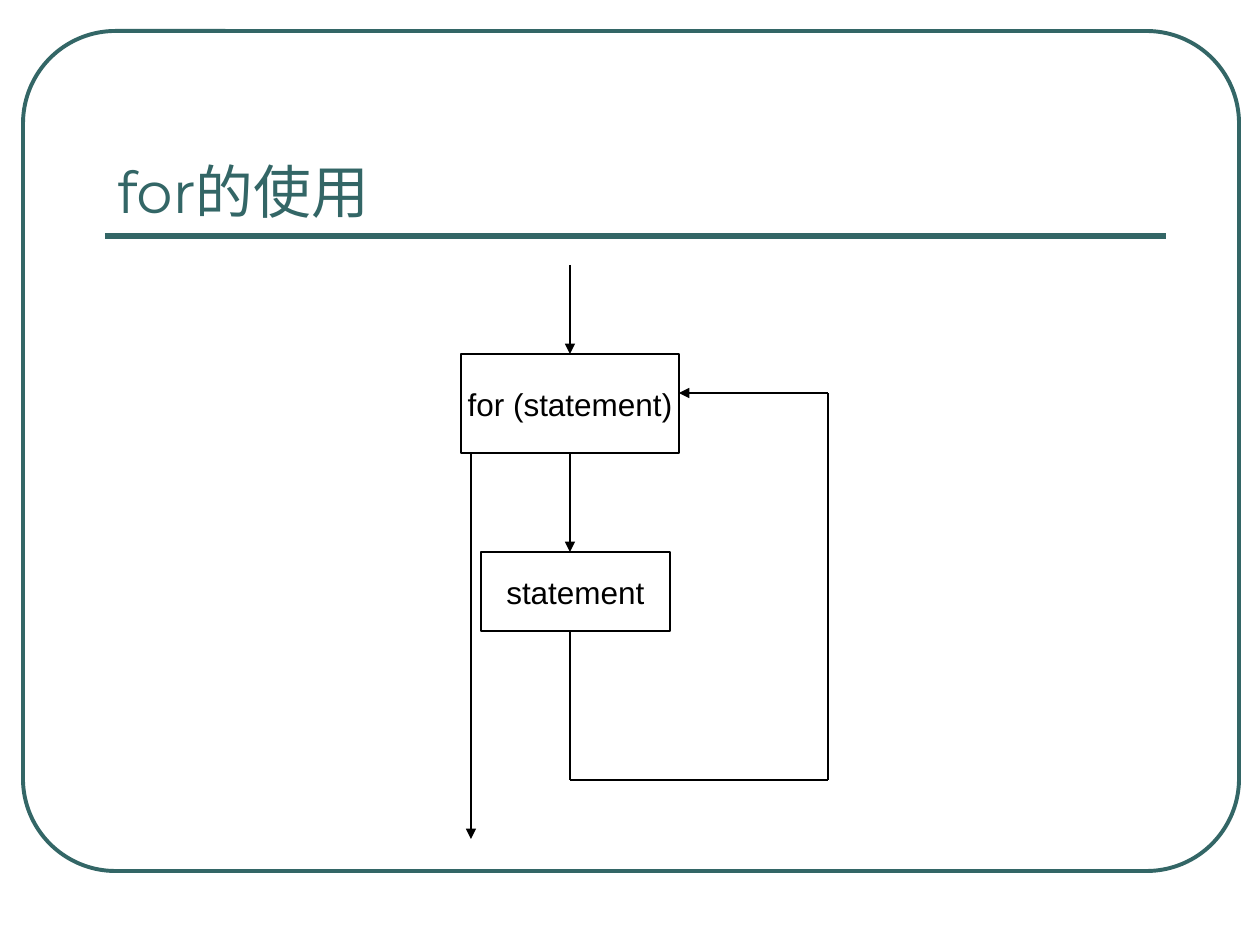
import pptx
import pptx.util
import pptx.dml.color
import pptx.enum.shapes
import pptx.enum.text
import pptx.oxml
import pptx.oxml.ns

PX = 914400 / 126
HUES = {"teal": "336666", "ink": "000000"}
KIND = pptx.enum.shapes.MSO_SHAPE
ALIGN = pptx.enum.text.PP_ALIGN
ANCHOR = pptx.enum.text.MSO_ANCHOR

# Content: left, top, width, height in px
FRAME = (23, 31, 1216, 840)
TITLE = ("for的使用", (105, 73, 1061, 158))
BOXES = {
    "loop": ("for (statement)", (461, 354, 218, 99)),
    "body": ("statement", (481, 552, 189, 79)),
}

# Flow: from, to, arrowhead, then (box, side) joined at each end
MID, RIGHT, EXIT = 570, 828, 471
TURN, BACK = 780, 393
FLOW = [
    ((MID, 265), (MID, 354), True, None, ("loop", 0)),
    ((MID, 453), (MID, 552), True, ("loop", 2), None),
    ((MID, 631), (MID, TURN), False, None, None),
    ((MID, TURN), (RIGHT, TURN), False, None, None),
    ((RIGHT, TURN), (RIGHT, BACK), False, None, None),
    ((RIGHT, BACK), (679, BACK), True, None, None),
    ((EXIT, 453), (EXIT, 839), True, None, None),
]


def emu(spot):
    return [round(n * PX) for n in spot]


def rgb(hue):
    return pptx.dml.color.RGBColor.from_string(HUES[hue])


def ink(shape, hue, width):
    shape.line.color.rgb = rgb(hue)
    shape.line.width = pptx.util.Pt(width)


def block(kind, spot, hue, width):
    shape = slide.shapes.add_shape(kind, *emu(spot))
    shape.shadow.inherit = False
    shape.fill.background()
    ink(shape, hue, width)
    return shape


def write(shape, text, hue, frame, align, font):
    tf = shape.text_frame
    for key, val in frame.items():
        setattr(tf, key, val)
    par = tf.paragraphs[0]
    par.alignment = align
    run = par.add_run()
    run.text = text
    for key, val in font.items():
        setattr(run.font, key, val)
    run.font.color.rgb = rgb(hue)


def wire(start, end, hue, width, head=False):
    line = slide.shapes.add_connector(
        pptx.enum.shapes.MSO_CONNECTOR.STRAIGHT, *emu(start + end))
    ink(line, hue, width)
    if head:
        tip = pptx.oxml.parse_xml(
            '<a:tailEnd %s type="triangle"/>' % pptx.oxml.ns.nsdecls("a"))
        line.line._get_or_add_ln().append(tip)
    line._element.spPr.append(pptx.oxml.parse_xml(
        "<a:effectLst %s/>" % pptx.oxml.ns.nsdecls("a")))
    return line


deck = pptx.Presentation()
deck.slide_width, deck.slide_height = emu((1260, 945))
slide = deck.slides.add_slide(deck.slide_layouts[6])

# Frame, rule and title
block(KIND.ROUNDED_RECTANGLE, FRAME, "teal", 2.25).adjustments[0] = 0.11
wire((105, 236), (1166, 236), "teal", 3)
text, spot = TITLE
write(slide.shapes.add_textbox(*emu(spot)), text, "teal",
      {"word_wrap": True, "vertical_anchor": ANCHOR.BOTTOM}, ALIGN.LEFT,
      {"name": "Montserrat", "size": pptx.util.Pt(33)})

# Flow boxes
nodes = {}
for name, (text, spot) in BOXES.items():
    nodes[name] = block(KIND.RECTANGLE, spot, "ink", 0.75)
    write(nodes[name], text, "ink",
          {"word_wrap": False, "vertical_anchor": ANCHOR.MIDDLE}, ALIGN.CENTER,
          {"name": "Arial", "size": pptx.util.Pt(18)})

# Flow lines
for start, end, head, tie, goal in FLOW:
    line = wire(start, end, "ink", 0.75, head)
    if tie:
        line.begin_connect(nodes[tie[0]], tie[1])
    if goal:
        line.end_connect(nodes[goal[0]], goal[1])

deck.save("out.pptx")
